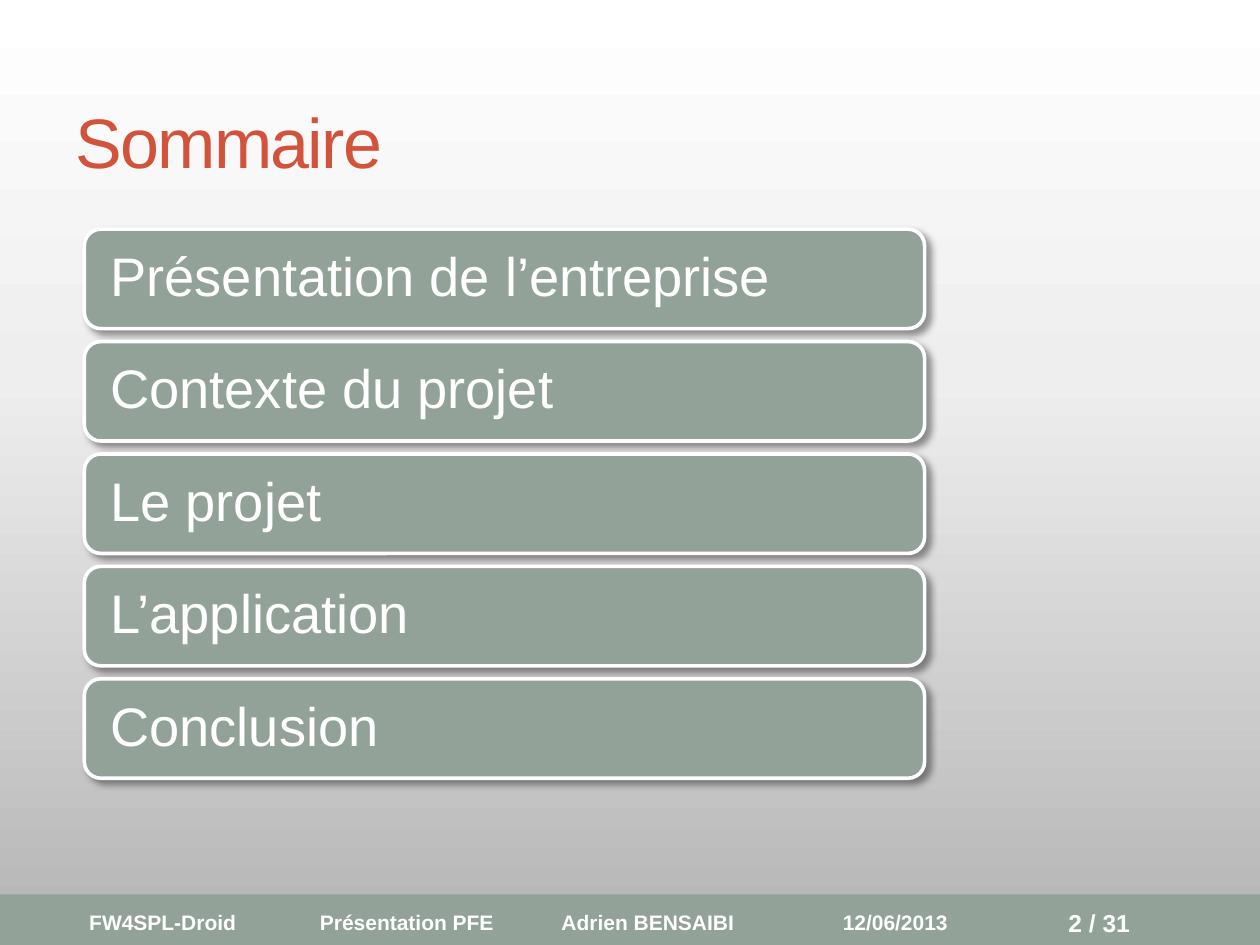
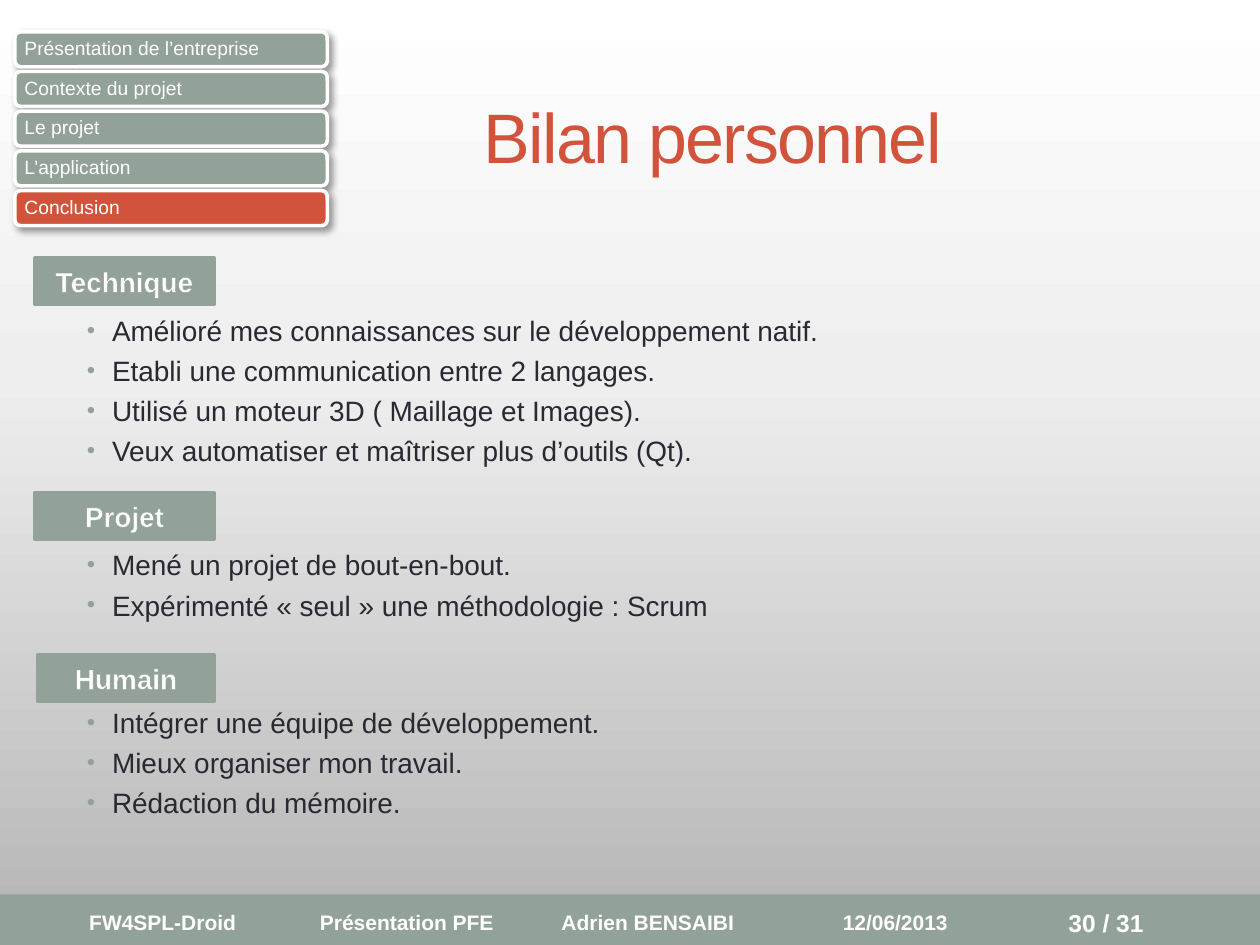
from dataclasses import dataclass

from lxml import etree
from pptx import Presentation
from pptx import oxml
from pptx.dml.color import RGBColor
from pptx.enum import shapes, text
from pptx.oxml import ns
from pptx.util import Cm, Pt


@dataclass(frozen=True)
class Theme:
    font: str = "Arial"
    sage: str = "93A299"
    red: str = "D2533C"
    white: str = "FFFFFF"
    ink: str = "292934"
    sky: tuple = ((0, "FFFFFF"), (40, "EEEEEE"), (100, "B4B4B4"))
    title: float = 40
    large: float = 31
    body: float = 16
    page: float = 14
    foot: float = 12
    small: float = 11
    edge: float = 2.08


T = Theme()
PARTS = [
    "Présentation de l’entreprise",
    "Contexte du projet",
    "Le projet",
    "L’application",
    "Conclusion",
]
TOTAL = 31


def xml(body):
    head, tail = body.split(" ", 1) if " " in body.split(">")[0] else body.split(">", 1)
    glue = " " if not body.startswith(head + ">") else ">"
    return oxml.parse_xml(f"{head} {ns.nsdecls('a')}{glue}{tail}")


def rgb(code):
    return RGBColor.from_string(code)


def place(shape, box):
    shape.left, shape.top, shape.width, shape.height = map(Cm, box)


def style(para, size, color, bold=False):
    for run in para.runs:
        font = run.font
        font.name, font.size, font.bold = T.font, Pt(size), bold
        font.color.rgb = rgb(color)


def label(slide, box, words, size, color, bold=False):
    shape = slide.shapes.add_textbox(*map(Cm, box))
    frame = shape.text_frame
    frame.word_wrap = True
    frame.vertical_anchor = text.MSO_ANCHOR.MIDDLE
    frame.text = words
    style(frame.paragraphs[0], size, color, bold)
    return frame.paragraphs[0]


def block(slide, kind, box, fill, line=None):
    shape = slide.shapes.add_shape(kind, *map(Cm, box))
    shape.shadow.inherit = False
    shape.fill.solid()
    shape.fill.fore_color.rgb = rgb(fill)
    if line:
        shape.line.color.rgb = rgb(line)
        shape.line.width = Pt(T.edge)
    else:
        shape.line.fill.background()
    return shape


def sky(master):
    fill = master.background.fill
    fill.gradient()
    grad = master.element.find(".//" + ns.qn("p:bgPr") + "/" + ns.qn("a:gradFill"))
    for child in list(grad):
        grad.remove(child)
    stops = "".join(
        f'<a:gs pos="{pos * 1000}"><a:srgbClr val="{code}"/></a:gs>'
        for pos, code in T.sky
    )
    grad.append(xml(f"<a:gsLst>{stops}</a:gsLst>"))
    grad.append(xml('<a:lin ang="5400000" scaled="0"/>'))


def footer(slide, box, page):
    left, top, width, height = box
    block(slide, shapes.MSO_SHAPE.RECTANGLE, box, T.sage)
    row, high = top + 0.11, height - 0.11
    names = "FW4SPL-Droid\tPrésentation PFE\tAdrien BENSAIBI"
    para = label(slide, (left + 1.55, row, 13.54, high), names, T.foot, T.white, True)
    stops = "".join(f'<a:tab pos="{Cm(x)}" algn="l"/>' for x in (4.65, 9.52))
    para._p.get_or_add_pPr().append(xml(f"<a:tabLst>{stops}</a:tabLst>"))
    label(slide, (left + 16.74, row, 3.23, high), "12/06/2013", T.foot, T.white, True)
    count = f"{page} / {TOTAL}"
    label(slide, (left + 21.29, row, 2.97, high), count, T.page, T.white, True)


def start(deck, title, spot, page):
    slide = deck.slides.add_slide(deck.slide_layouts[5])
    footer(slide, (0, 18.03, 25.4, 1.02), page)
    head = slide.shapes.title
    place(head, (*spot, 22.86, 2.74))
    frame = head.text_frame
    frame.text = title
    frame.vertical_anchor = text.MSO_ANCHOR.MIDDLE
    para = frame.paragraphs[0]
    para.alignment = text.PP_ALIGN.LEFT
    style(para, T.title, T.red)
    para.runs[0].font._element.set("spc", "-100")
    return slide


def menu(slide, box, size, pad, active=None):
    left, top, width, height = box
    ratio = 0.885
    pitch = height / (len(PARTS) - 1 + ratio)
    for rank, part in enumerate(PARTS):
        fill = T.red if part == active else T.sage
        spot = (left, top + rank * pitch, width, pitch * ratio)
        pill = block(slide, shapes.MSO_SHAPE.ROUNDED_RECTANGLE, spot, fill, T.white)
        glow = pill._element.spPr.find(ns.qn("a:effectLst"))
        glow.append(xml(
            f'<a:outerShdw blurRad="{Pt(4)}" dist="{Pt(3)}" dir="2700000" rotWithShape="0">'
            '<a:srgbClr val="000000"><a:alpha val="40000"/></a:srgbClr></a:outerShdw>'
        ))
        frame = pill.text_frame
        frame.margin_left = frame.margin_right = Cm(pad)
        frame.margin_top = frame.margin_bottom = 0
        frame.vertical_anchor = text.MSO_ANCHOR.MIDDLE
        frame.text = part
        para = frame.paragraphs[0]
        para.alignment = text.PP_ALIGN.LEFT
        para.line_spacing = 0.9
        style(para, size, T.white)


def theme(slide, box, gap, name, items):
    left, top, width, height = box
    tag = block(slide, shapes.MSO_SHAPE.RECTANGLE, box, T.sage, T.sage)
    tag.text_frame.text = name
    para = tag.text_frame.paragraphs[0]
    para.alignment = text.PP_ALIGN.CENTER
    style(para, T.body, T.white, True)
    para.runs[0].font._element.insert(0, xml(
        f'<a:ln w="{Pt(0.8)}"><a:solidFill><a:srgbClr val="{T.sage}"/></a:solidFill></a:ln>'
    ))
    spot = (1.5, top + gap, 23, 0.25 + 0.79 * len(items))
    frame = slide.shapes.add_textbox(*map(Cm, spot)).text_frame
    frame.word_wrap = True
    for rank, item in enumerate(items):
        para = frame.add_paragraph() if rank else frame.paragraphs[0]
        para.text = item
        prop = para._p.get_or_add_pPr()
        prop.set("marL", str(Cm(0.51)))
        prop.set("indent", str(Cm(-0.51)))
        for mark in (
            f'<a:buClr><a:srgbClr val="{T.sage}"/></a:buClr>',
            '<a:buSzPct val="85000"/>',
            f'<a:buFont typeface="{T.font}"/>',
            '<a:buChar char="•"/>',
        ):
            prop.append(xml(mark))
        if rank:
            para.space_before = Pt(3.8)
        style(para, T.body, T.ink)


def summary(deck):
    slide = start(deck, "Sommaire", (1.27, 1.47), 2)
    menu(slide, (1.7, 4.62, 16.94, 11.07), T.large, 0.43)


def review(deck):
    slide = start(deck, "Bilan personnel", (9.5, 1.37), 30)
    menu(slide, (0.3, 0.64, 6.3, 3.91), T.small, 0.16, "Conclusion")
    theme(slide, (0.71, 5.2, 3.6, 0.94), 0.99, "Technique", [
        "Amélioré mes connaissances sur le développement natif.",
        "Etabli une communication entre 2 langages.",
        "Utilisé un moteur 3D ( Maillage et Images).",
        "Veux automatiser et maîtriser plus d’outils (Qt).",
    ])
    theme(slide, (0.71, 9.93, 3.6, 0.94), 0.99, "Projet", [
        "Mené un projet de bout-en-bout.",
        "Expérimenté « seul » une méthodologie : Scrum",
    ])
    theme(slide, (0.77, 13.2, 3.54, 0.94), 0.89, "Humain", [
        "Intégrer une équipe de développement.",
        "Mieux organiser mon travail.",
        "Rédaction du mémoire.",
    ])


def main():
    deck = Presentation()
    deck.slide_width, deck.slide_height = Cm(25.4), Cm(19.05)
    sky(deck.slide_master)
    summary(deck)
    review(deck)
    deck.save("out.pptx")


if __name__ == "__main__":
    main()
